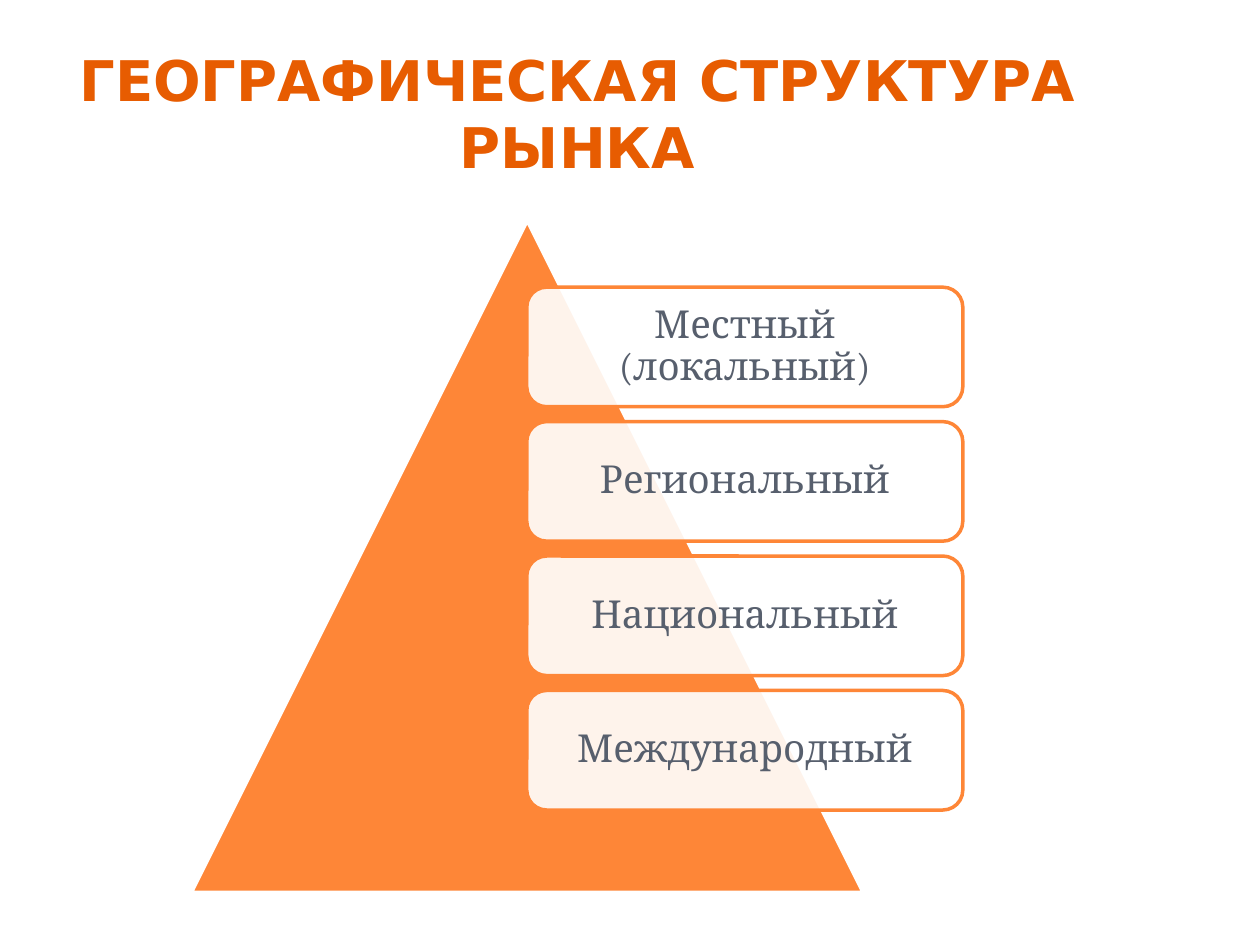
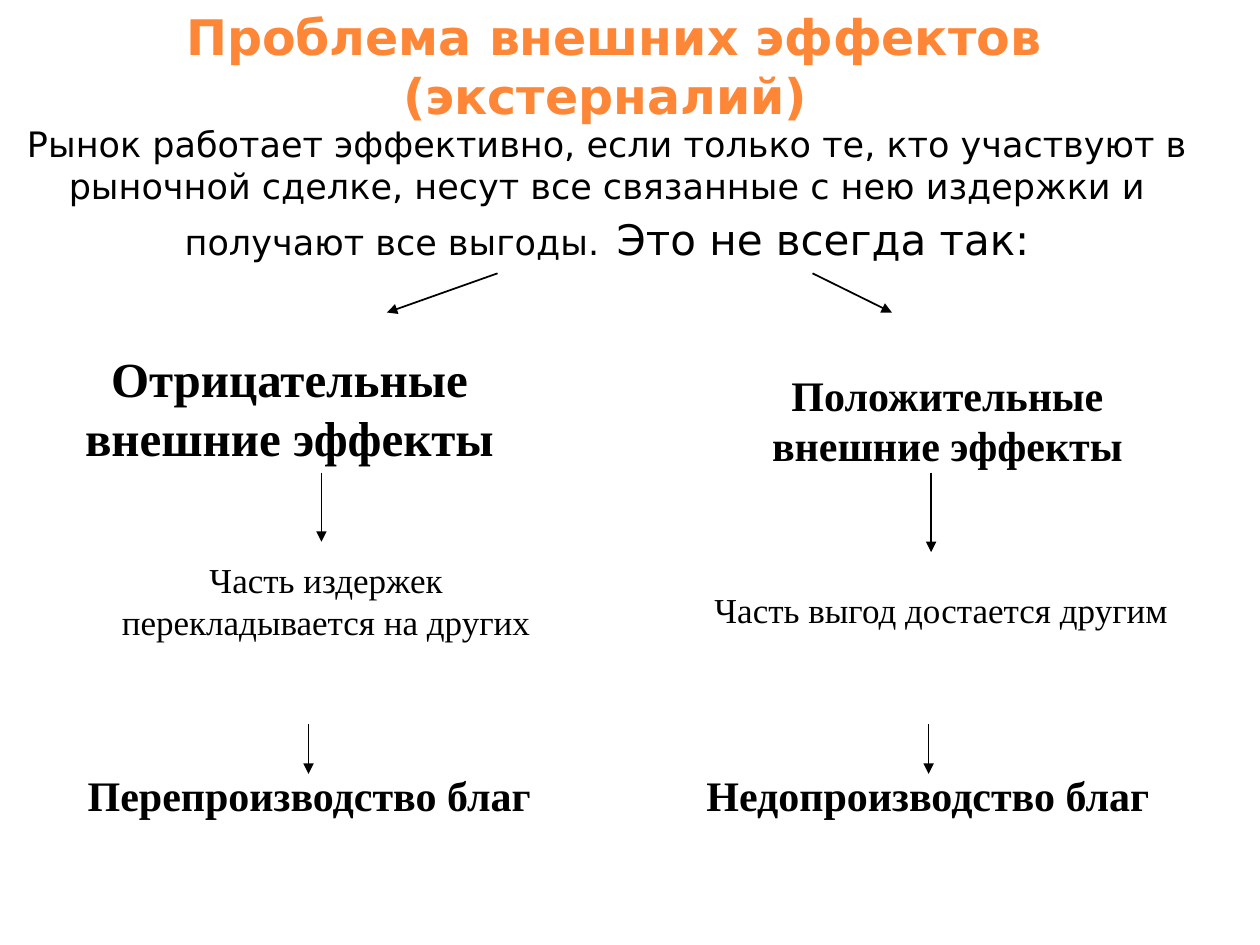
"""Build two slides on market geography and external effects."""
from dataclasses import dataclass

from pptx import Presentation
from pptx.dml.color import RGBColor
from pptx.enum.shapes import MSO_CONNECTOR as Connector, MSO_SHAPE as Preset
from pptx.enum.text import MSO_ANCHOR as Anchor, MSO_AUTO_SIZE as AutoSize, PP_ALIGN as Align
from pptx.oxml.ns import qn
from pptx.slide import Slide
from pptx.text.text import TextFrame
from pptx.util import Cm, Pt
from lxml.etree import SubElement

ORANGE, DARK_ORANGE = "FE8637", "E75C01"
SLATE, BLACK, WHITE = "575F6D", "000000", "FFFFFF"
SANS, SERIF, LEVEL_FONT = "DejaVu Sans", "Times New Roman", "Cambria"


@dataclass(frozen=True)
class Box:
    """Position and size in centimetres."""
    left: float
    top: float
    width: float
    height: float

    def lengths(self) -> tuple:
        """Return left, top, width and height as lengths."""
        return Cm(self.left), Cm(self.top), Cm(self.width), Cm(self.height)


@dataclass(frozen=True)
class Label:
    """A text box of the effects scheme."""
    text: str
    box: Box
    size: int
    bold: bool = False


@dataclass(frozen=True)
class Arrow:
    """A straight arrow, ends in centimetres."""
    start: tuple[float, float]
    end: tuple[float, float]


LEVELS = ("Местный (локальный)", "Региональный", "Национальный", "Международный")
FIRST_LEVEL = Box(10.62, 5.79, 8.79, 2.41)
LEVEL_STEP = 2.71

INTRO_BOX = Box(0.2, 2.34, 24.08, 3.12)
INTRO = (
    ("Рынок работает эффективно, если только те, кто участвуют в рыночной сделке, "
     "несут все связанные с нею издержки и получают все выгоды.", 20, False),
    (" ", 28, True),
    ("Это не всегда так:", 24, False),
)
LABELS = (
    Label("Отрицательные внешние эффекты", Box(0.64, 6.91, 10.39, 2.62), 28, True),
    Label("Положительные внешние эффекты", Box(14.4, 7.32, 9.4, 2.29), 24, True),
    Label("Часть издержек перекладывается на других", Box(1.47, 11.13, 10.21, 1.96), 20),
    Label("Часть выгод достается другим", Box(13.97, 11.73, 10.01, 1.96), 20),
    Label("Перепроизводство благ", Box(0.43, 15.39, 11.61, 1.27), 24, True),
    Label("Недопроизводство благ", Box(12.9, 15.39, 11.61, 1.27), 24, True),
)
ARROWS = (
    Arrow((10.03, 5.51), (7.8, 6.3)),
    Arrow((16.38, 5.51), (17.98, 6.3)),
    Arrow((6.48, 9.53), (6.48, 10.92)),
    Arrow((18.77, 9.53), (18.77, 11.13)),
    Arrow((6.22, 14.6), (6.22, 15.6)),
    Arrow((18.72, 14.6), (18.72, 15.6)),
)


def color(value: str) -> RGBColor:
    """Turn a hex string into a colour."""
    return RGBColor.from_string(value)


def write(frame: TextFrame, text: str, *, size: int, font: str, ink: str = BLACK,
          bold: bool = False, anchor: Anchor = Anchor.TOP, spacing: float = 1.0) -> None:
    """Add a centred run to the first paragraph of a frame."""
    frame.word_wrap = True
    frame.auto_size = AutoSize.NONE
    frame.vertical_anchor = anchor
    paragraph = frame.paragraphs[0]
    paragraph.alignment = Align.CENTER
    paragraph.line_spacing = spacing
    run = paragraph.add_run()
    run.text = text
    run.font.size, run.font.name, run.font.bold = Pt(size), font, bold
    run.font.color.rgb = color(ink)


def add_titled_slide(presentation: Presentation, title: str, box: Box, *, size: int,
                     ink: str, anchor: Anchor) -> Slide:
    """Add a title-only slide and format its title."""
    slide = presentation.slides.add_slide(presentation.slide_layouts[5])
    shape = slide.shapes.title
    shape.left, shape.top, shape.width, shape.height = box.lengths()
    write(shape.text_frame, title, size=size, font=SANS, ink=ink, bold=True, anchor=anchor)
    return slide


def add_panel(slide: Slide, preset: Preset, box: Box, *, fill: str, line: str,
              opacity: int = 100) -> TextFrame:
    """Draw a filled, outlined shape and return its text frame."""
    shape = slide.shapes.add_shape(preset, *box.lengths())
    shape.shadow.inherit = False
    shape.fill.solid()
    shape.fill.fore_color.rgb = color(fill)
    shape.line.color.rgb = color(line)
    shape.line.width = Pt(2)
    if opacity < 100:
        solid = shape.fill._xPr.find(qn("a:solidFill"))
        SubElement(solid[0], qn("a:alpha"), val=str(opacity * 1000))
    return shape.text_frame


def add_arrow(slide: Slide, arrow: Arrow) -> None:
    """Draw a thin black arrow."""
    ends = (Cm(value) for value in arrow.start + arrow.end)
    connector = slide.shapes.add_connector(Connector.STRAIGHT, *ends)
    connector.line.color.rgb = color(BLACK)
    connector.line.width = Pt(1)
    SubElement(connector.line._get_or_add_ln(), qn("a:tailEnd"), type="triangle")
    SubElement(connector._element.spPr, qn("a:effectLst"))


def build_geography(presentation: Presentation) -> None:
    """Build the pyramid of market levels."""
    slide = add_titled_slide(presentation, "ГЕОГРАФИЧЕСКАЯ СТРУКТУРА РЫНКА",
                             Box(1.27, 0.76, 20.75, 3), size=32, ink=DARK_ORANGE,
                             anchor=Anchor.BOTTOM)
    add_panel(slide, Preset.ISOSCELES_TRIANGLE, Box(3.86, 4.45, 13.54, 13.54),
              fill=ORANGE, line=WHITE)
    for index, level in enumerate(LEVELS):
        box = Box(FIRST_LEVEL.left, FIRST_LEVEL.top + index * LEVEL_STEP,
                  FIRST_LEVEL.width, FIRST_LEVEL.height)
        frame = add_panel(slide, Preset.ROUNDED_RECTANGLE, box, fill=WHITE, line=ORANGE,
                          opacity=90)
        write(frame, level, size=22, font=LEVEL_FONT, ink=SLATE, anchor=Anchor.MIDDLE,
              spacing=0.9)


def build_externalities(presentation: Presentation) -> None:
    """Build the scheme of negative and positive external effects."""
    slide = add_titled_slide(presentation, "Проблема внешних эффектов (экстерналий) ",
                             Box(1.27, 0, 22.2, 2.64), size=28, ink=ORANGE,
                             anchor=Anchor.TOP)
    intro = slide.shapes.add_textbox(*INTRO_BOX.lengths()).text_frame
    for text, size, bold in INTRO:
        write(intro, text, size=size, font=SANS, bold=bold)
    for label in LABELS:
        frame = slide.shapes.add_textbox(*label.box.lengths()).text_frame
        write(frame, label.text, size=label.size, font=SERIF, bold=label.bold)
    for arrow in ARROWS:
        add_arrow(slide, arrow)


def main() -> None:
    """Create and save the presentation."""
    presentation = Presentation()
    presentation.slide_width, presentation.slide_height = Cm(25.4), Cm(19.05)
    build_geography(presentation)
    build_externalities(presentation)
    presentation.save("out.pptx")


if __name__ == "__main__":
    main()
